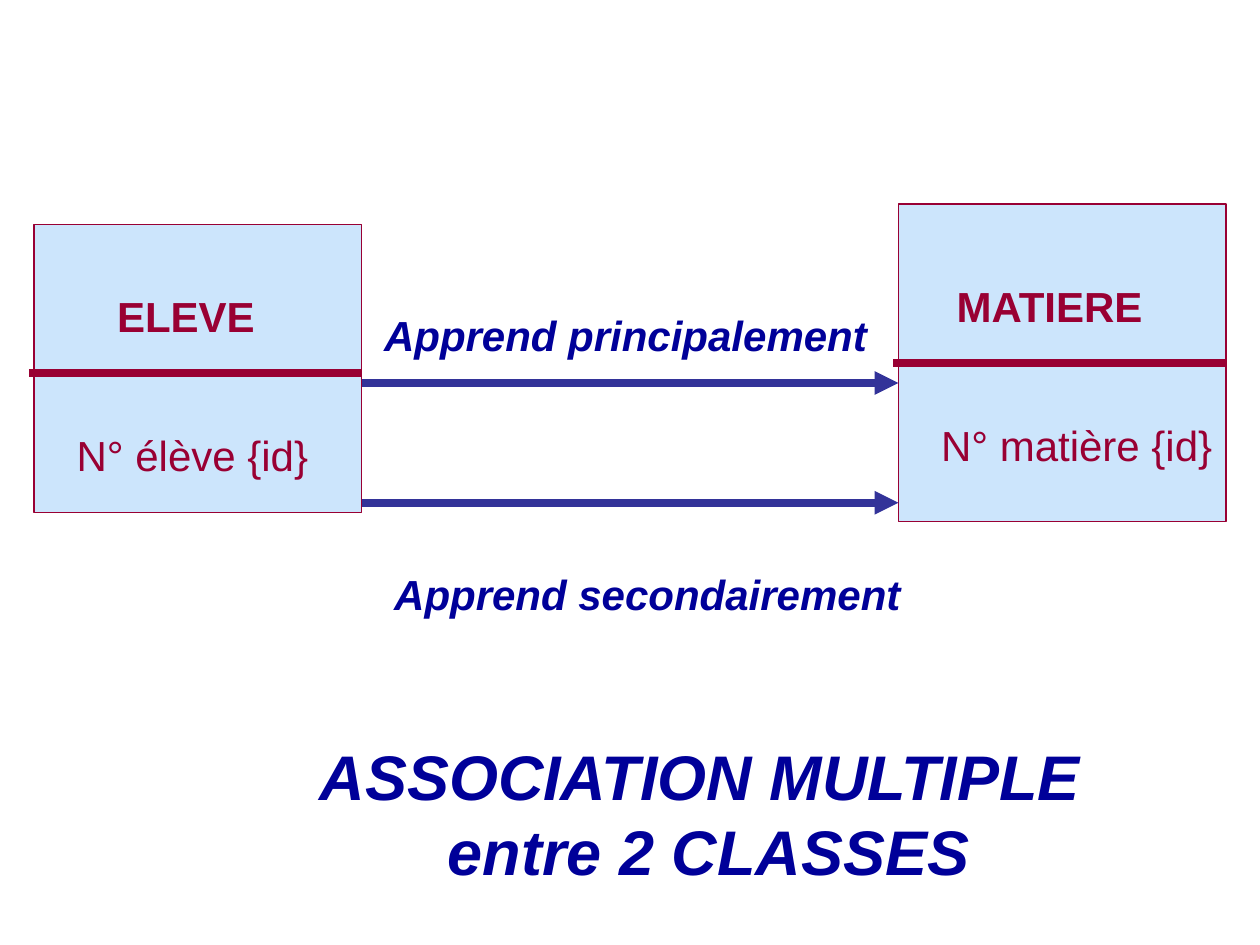
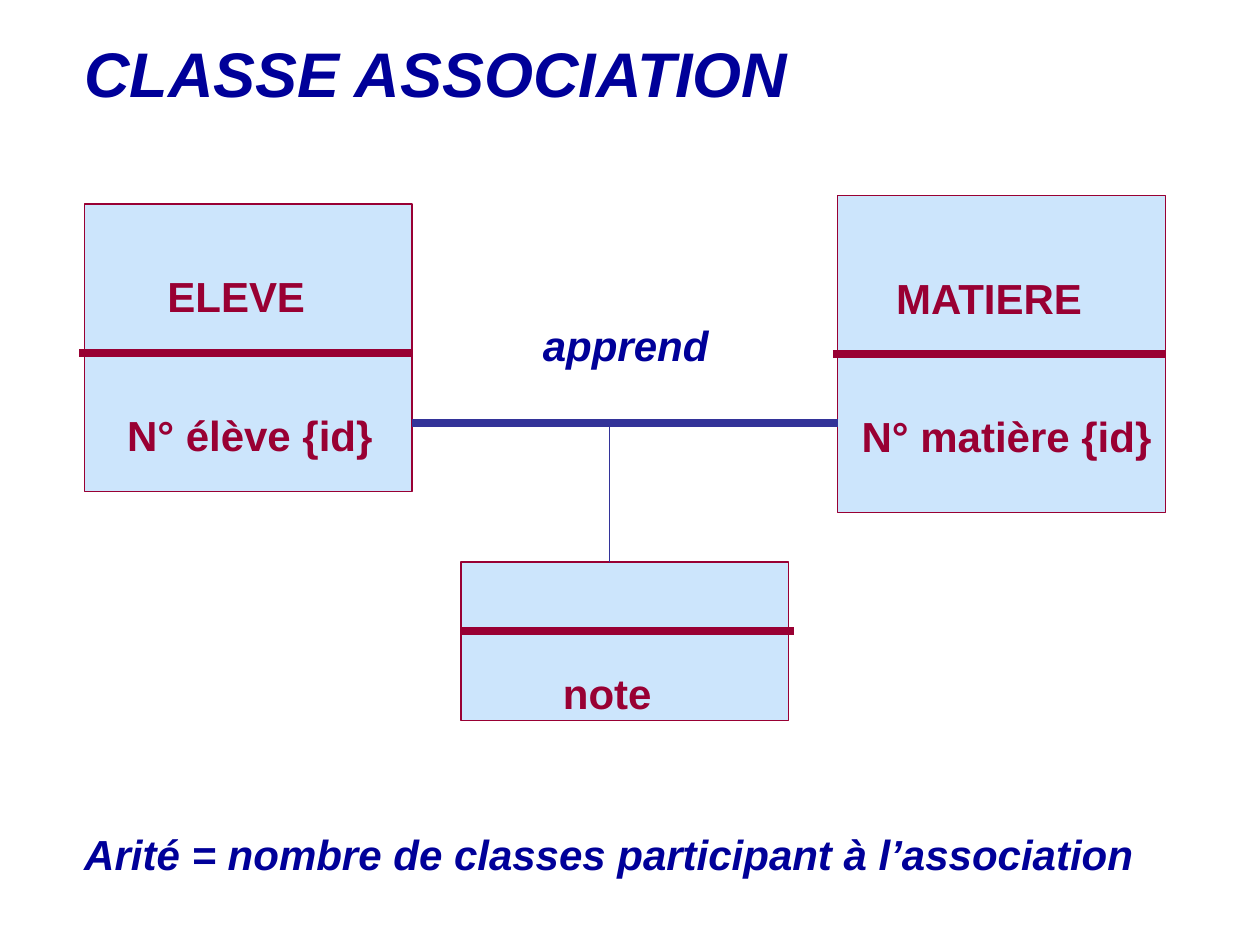
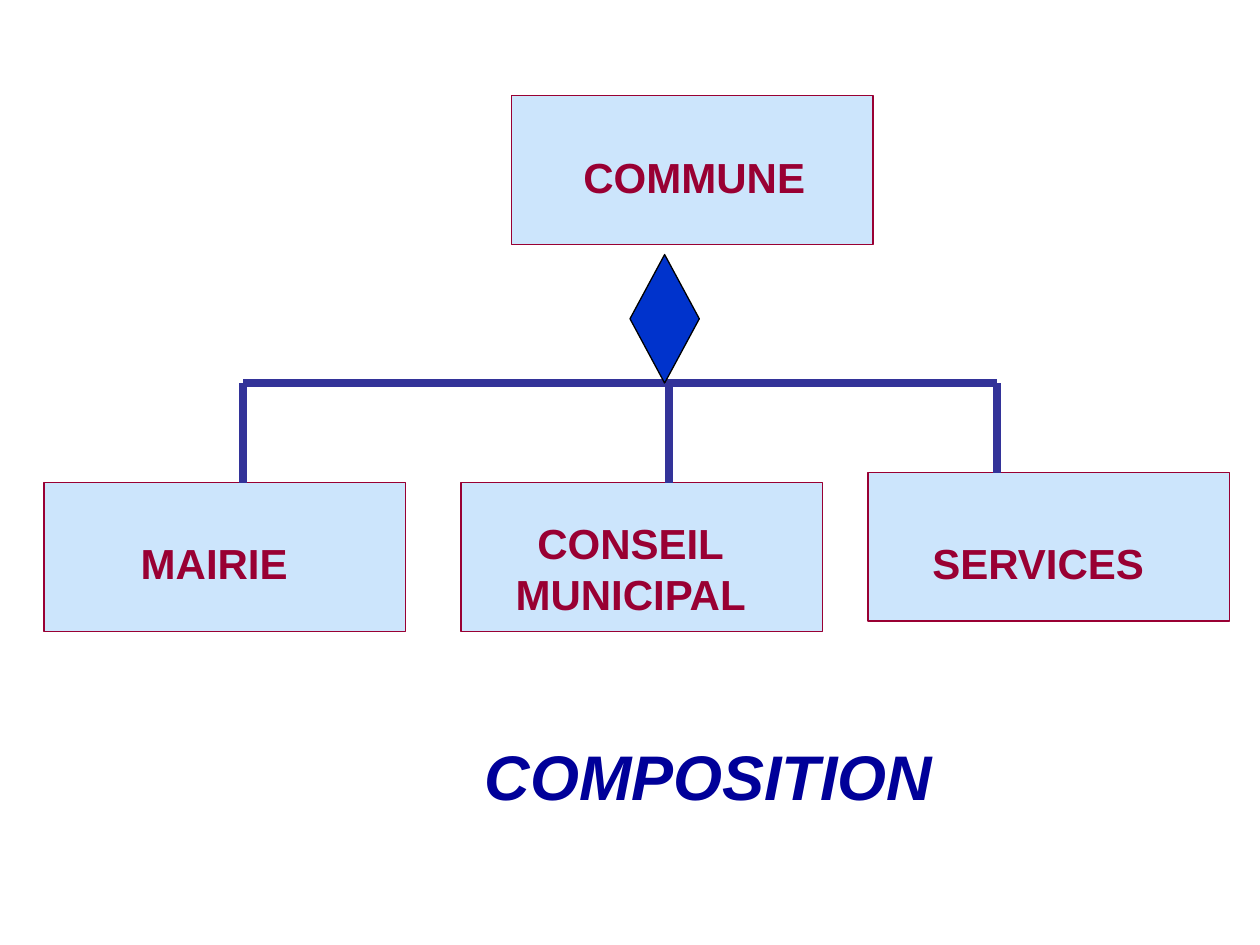
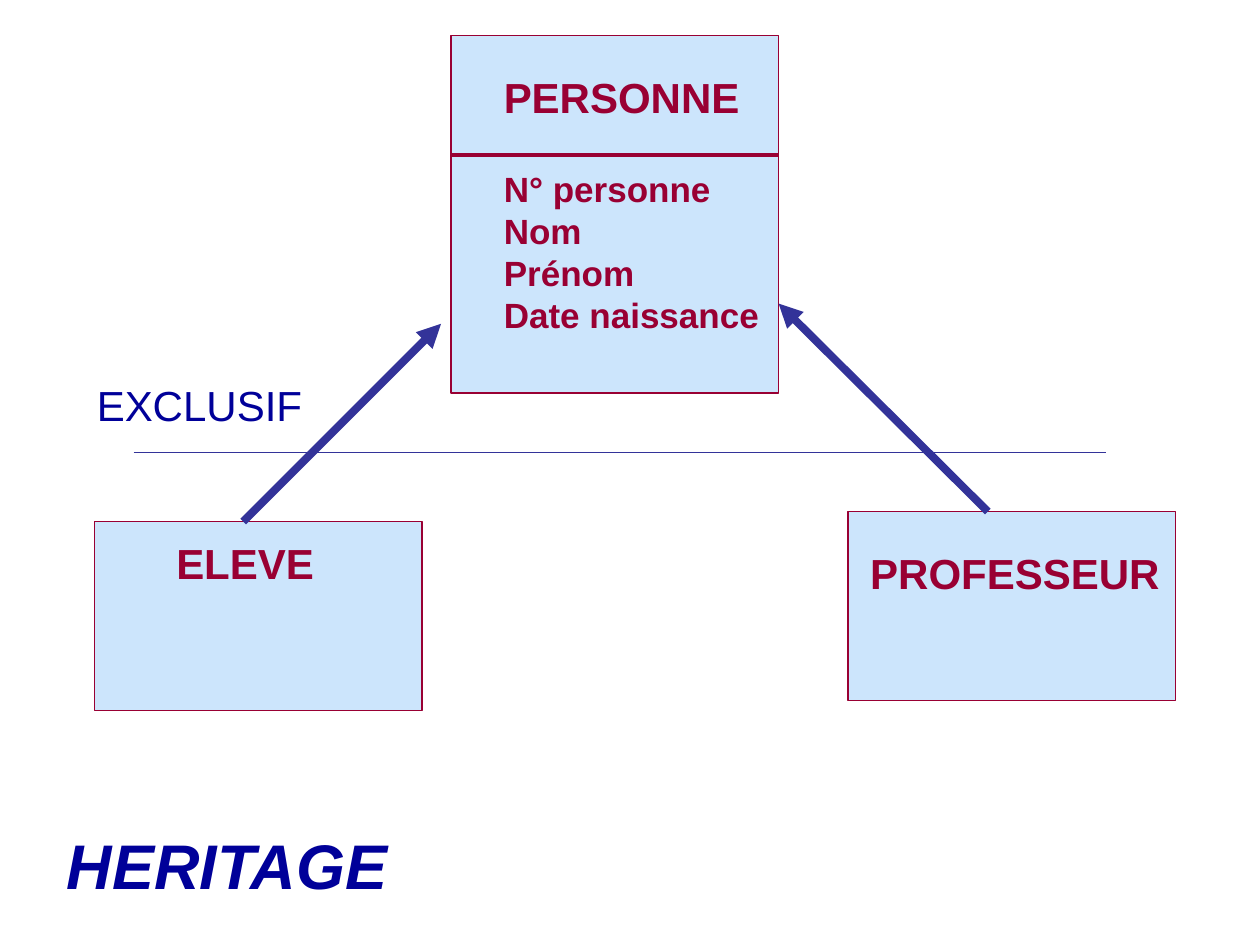
from dataclasses import dataclass

from lxml import etree
from pptx import Presentation
from pptx.dml.color import RGBColor
from pptx.enum.shapes import MSO_CONNECTOR, MSO_SHAPE
from pptx.enum.text import MSO_ANCHOR, MSO_AUTO_SIZE, PP_ALIGN
from pptx.oxml.ns import qn
from pptx.util import Inches, Pt

RECTANGLE, DIAMOND = MSO_SHAPE.RECTANGLE, MSO_SHAPE.DIAMOND
STRAIGHT = MSO_CONNECTOR.STRAIGHT
LEFT, CENTER = PP_ALIGN.LEFT, PP_ALIGN.CENTER
TOP, GROW = MSO_ANCHOR.TOP, MSO_AUTO_SIZE.SHAPE_TO_FIT_TEXT


@dataclass(frozen=True)
class Style:
    size: int
    color: str
    bold: bool = True
    italic: bool = False


@dataclass(frozen=True)
class Theme:
    font: str = "Arial"
    class_fill: str = "CCE5FC"
    class_line: str = "990033"
    link: str = "333399"
    diamond_fill: str = "0033CC"
    diamond_line: str = "000000"
    thin: float = 0.75
    medium: float = 2.25
    thick: float = 4.5
    title: Style = Style(36, "000099", italic=True)
    caption: Style = Style(24, "000099", italic=True)
    remark: Style = Style(24, "000099", bold=False)
    name: Style = Style(24, "990033")
    plain: Style = Style(24, "990033", bold=False)
    detail: Style = Style(20, "990033")


@dataclass(frozen=True)
class Box:
    left: float
    top: float
    width: float
    height: float

    @property
    def right(self):
        return self.left + self.width

    @property
    def bottom(self):
        return self.top + self.height


THEME = Theme()
CLASS_WIDTH = 2.6
RULE_OVERHANG = 0.04
NAME_ABOVE_RULE = 0.7
FIELD_BELOW_RULE = 0.4
SIDE_INSET = 0.1
INSET_SLACK = 0.05


def color(code):
    return RGBColor.from_string(code)


def write(shape, left, top, width, lines, style, align):
    height = len(lines) * style.size * 1.2 / 72 + 0.1
    shape.left, shape.top = Inches(left), Inches(top)
    shape.width, shape.height = Inches(width), Inches(height)
    frame = shape.text_frame
    frame.word_wrap = False
    frame.auto_size = GROW
    frame.vertical_anchor = TOP
    frame.margin_right = Inches(SIDE_INSET - INSET_SLACK)
    frame.margin_left = frame.margin_right if align == CENTER else Inches(SIDE_INSET)
    for index, line in enumerate(lines):
        para = frame.add_paragraph() if index else frame.paragraphs[0]
        para.alignment = align
        span = para.add_run()
        span.text = line
        span.font.name = THEME.font
        span.font.size = Pt(style.size)
        span.font.bold = style.bold
        span.font.italic = style.italic
        span.font.color.rgb = color(style.color)


def add_label(page, left, top, width, lines, style, align=LEFT):
    label = page.shapes.add_textbox(0, 0, 0, 0)
    write(label, left, top, width, lines, style, align)


def add_page(deck, left, top, width, title_lines, align=LEFT):
    page = deck.slides.add_slide(deck.slide_layouts.get_by_name("Title Only"))
    write(page.shapes.title, left, top, width, title_lines, THEME.title, align)
    return page


def add_line(page, start, end, line_color, weight, arrow=False):
    points = [Inches(value) for value in (*start, *end)]
    line = page.shapes.add_connector(STRAIGHT, *points)
    line.line.color.rgb = color(line_color)
    line.line.width = Pt(weight)
    if arrow:
        outline = line.line._get_or_add_ln()
        etree.SubElement(outline, qn("a:tailEnd"), type="triangle")
    etree.SubElement(line._element.spPr, qn("a:effectLst"))


def add_link(page, start, end, weight=THEME.thick, arrow=False):
    add_line(page, start, end, THEME.link, weight, arrow)


def add_figure(page, preset, box, fill, line):
    figure = page.shapes.add_shape(
        preset, Inches(box.left), Inches(box.top), Inches(box.width), Inches(box.height))
    figure.shadow.inherit = False
    figure.fill.solid()
    figure.fill.fore_color.rgb = color(fill)
    figure.line.color.rgb = color(line)
    figure.line.width = Pt(THEME.thin)


def add_class(page, box):
    add_figure(page, RECTANGLE, box, THEME.class_fill, THEME.class_line)


def add_rule(page, left, right, y, weight=THEME.thick):
    add_line(page, (left, y), (right, y), THEME.class_line, weight)


def add_named_class(page, box, lines, dx, dy, width, align=CENTER):
    add_class(page, box)
    add_label(page, box.left + dx, box.top + dy, width, lines, THEME.name, align)


def add_entity(page, box, rule, name, field, field_style):
    name_text, name_dx, name_width = name
    field_text, field_dx, field_width = field
    rule_y = box.top + rule
    add_named_class(page, box, [name_text], name_dx, rule - NAME_ABOVE_RULE, name_width)
    add_rule(page, box.left - RULE_OVERHANG, box.right, rule_y)
    add_label(page, box.left + field_dx, rule_y + FIELD_BELOW_RULE, field_width,
              [field_text], field_style)


def add_pupil_and_subject(page, pupil, subject, style, pupil_field, subject_field):
    add_entity(page, pupil, 1.18, ("ELEVE", 0.56, 1.29),
               ("N° élève {id}", *pupil_field), style)
    add_entity(page, subject, 1.26, ("MATIERE", 0.35, 1.7),
               ("N° matière {id}", *subject_field), style)


def build_multiple_association(deck):
    page = add_page(deck, 2.4, 5.8, 6.45,
                    ["ASSOCIATION MULTIPLE ", "entre 2 CLASSES"], CENTER)
    pupil = Box(0.27, 1.78, CLASS_WIDTH, 2.29)
    subject = Box(7.13, 1.62, CLASS_WIDTH, 2.52)
    add_pupil_and_subject(page, pupil, subject, THEME.plain, (0.24, 2.04), (0.24, 2.35))
    links = [
        (3.04, "Apprend principalement", 0.08, 2.41, 4.03),
        (3.99, "Apprend secondairement", 0.16, 4.46, 4.22),
    ]
    for y, text, dx, text_top, width in links:
        add_link(page, (pupil.right, y), (subject.left, y), arrow=True)
        add_label(page, pupil.right + dx, text_top, width, [text], THEME.caption)


def build_association_class(deck):
    page = add_page(deck, 0.57, 0.22, 5.84, ["CLASSE ASSOCIATION"])
    pupil = Box(0.67, 1.62, CLASS_WIDTH, 2.28)
    subject = Box(6.65, 1.55, CLASS_WIDTH, 2.52)
    grade = Box(3.66, 4.46, CLASS_WIDTH, 1.26)
    add_pupil_and_subject(page, pupil, subject, THEME.name, (0.24, 2.15), (0.09, 2.5))
    link_y, stem_x = 3.36, 4.84
    add_link(page, (pupil.right, link_y), (subject.left, link_y))
    add_label(page, 4.21, 2.49, 1.51, ["apprend"], THEME.caption)
    add_named_class(page, grade, ["note"], 0.71, 0.79, 0.9, LEFT)
    add_rule(page, grade.left, grade.right + RULE_OVERHANG, grade.top + 0.55)
    add_link(page, (stem_x, link_y), (stem_x, grade.top), THEME.thin)
    add_label(page, 0.57, 6.53, 8.52,
              ["Arité = nombre de classes participant à l’association"], THEME.caption)


def build_composition(deck):
    page = add_page(deck, 3.75, 5.8, 3.75, ["COMPOSITION"], CENTER)
    width, height, bar_y = 2.87, 1.18, 3.04
    parts = [
        (0.35, 3.83, ["MAIRIE"], 0.67, 0.39, 1.36, 1.93),
        (3.66, 3.83, ["CONSEIL", "MUNICIPAL"], 0.32, 0.23, 2.05, 5.31),
        (6.89, 3.75, ["SERVICES"], 0.41, 0.47, 1.88, 7.91),
    ]
    add_link(page, (parts[0][-1], bar_y), (parts[-1][-1], bar_y))
    add_figure(page, DIAMOND, Box(5, 2.02, 0.55, 1.02),
               THEME.diamond_fill, THEME.diamond_line)
    add_named_class(page, Box(4.06, 0.76, width, height), ["COMMUNE"], 0.47, 0.39, 1.96)
    for left, top, lines, dx, dy, text_width, stem_x in parts:
        add_named_class(page, Box(left, top, width, height), lines, dx, dy, text_width)
        add_link(page, (stem_x, bar_y), (stem_x, top))


def build_inheritance(deck):
    page = add_page(deck, 0.43, 6.51, 2.78, ["HERITAGE"])
    pupil = Box(0.75, 4.14, CLASS_WIDTH, 1.5)
    teacher = Box(6.73, 4.06, CLASS_WIDTH, 1.5)
    person = Box(3.58, 0.28, CLASS_WIDTH, 2.84)
    add_named_class(page, pupil, ["ELEVE"], 0.55, 0.08, 1.29)
    add_named_class(page, teacher, ["PROFESSEUR"], 0.08, 0.24, 2.49)
    add_named_class(page, person, ["PERSONNE"], 0.32, 0.24, 2.07, LEFT)
    add_link(page, (1.93, pupil.top), (person.left - 0.08, 2.57), arrow=True)
    add_link(page, (7.84, teacher.top), (person.right, 2.41), arrow=True)
    add_link(page, (1.06, 3.59), (8.78, 3.59), THEME.thin)
    add_label(page, 0.67, 2.96, 1.83, ["EXCLUSIF"], THEME.remark)
    add_rule(page, person.left, person.right, person.top + 0.95, THEME.medium)
    add_label(page, person.left + 0.32, person.top + 1, 2.22,
              ["N° personne", "Nom", "Prénom", "Date naissance"], THEME.detail)


def main():
    deck = Presentation()
    deck.slide_width, deck.slide_height = Inches(10), Inches(7.5)
    build_multiple_association(deck)
    build_association_class(deck)
    build_composition(deck)
    build_inheritance(deck)
    deck.save("out.pptx")


if __name__ == "__main__":
    main()
